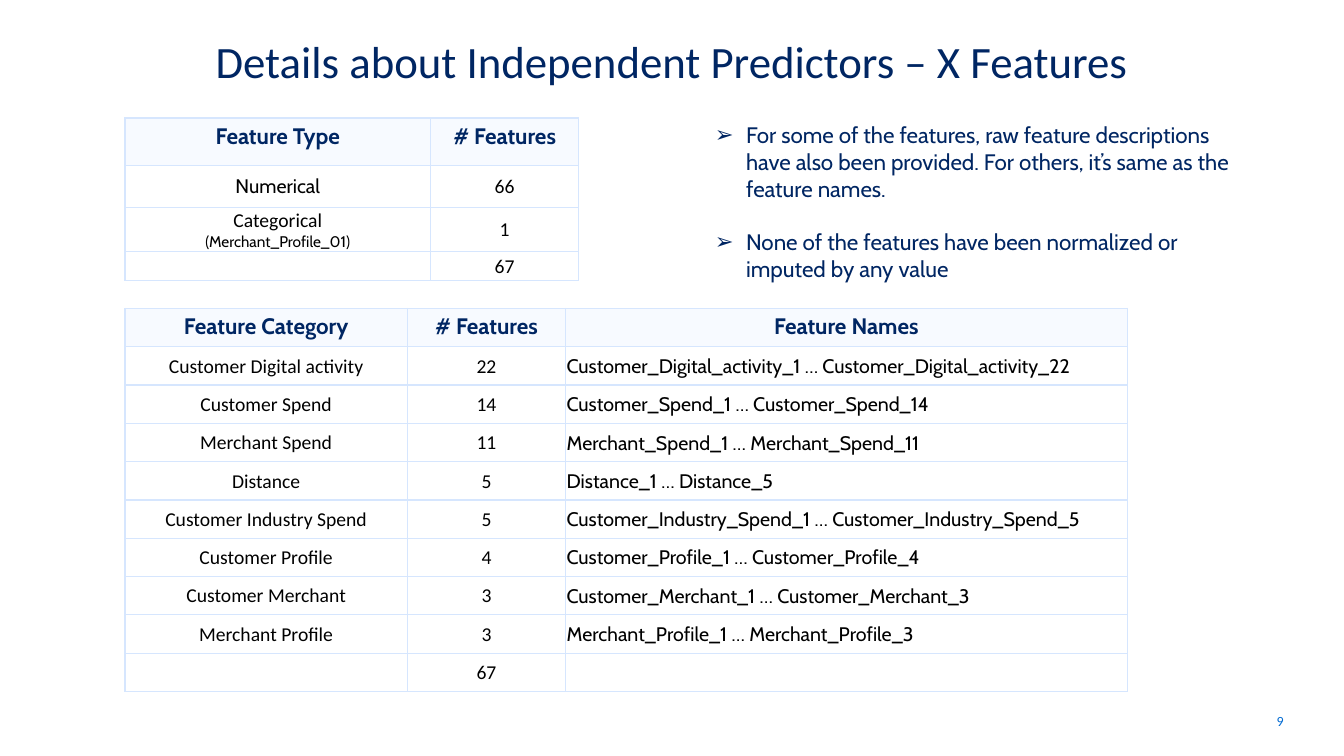
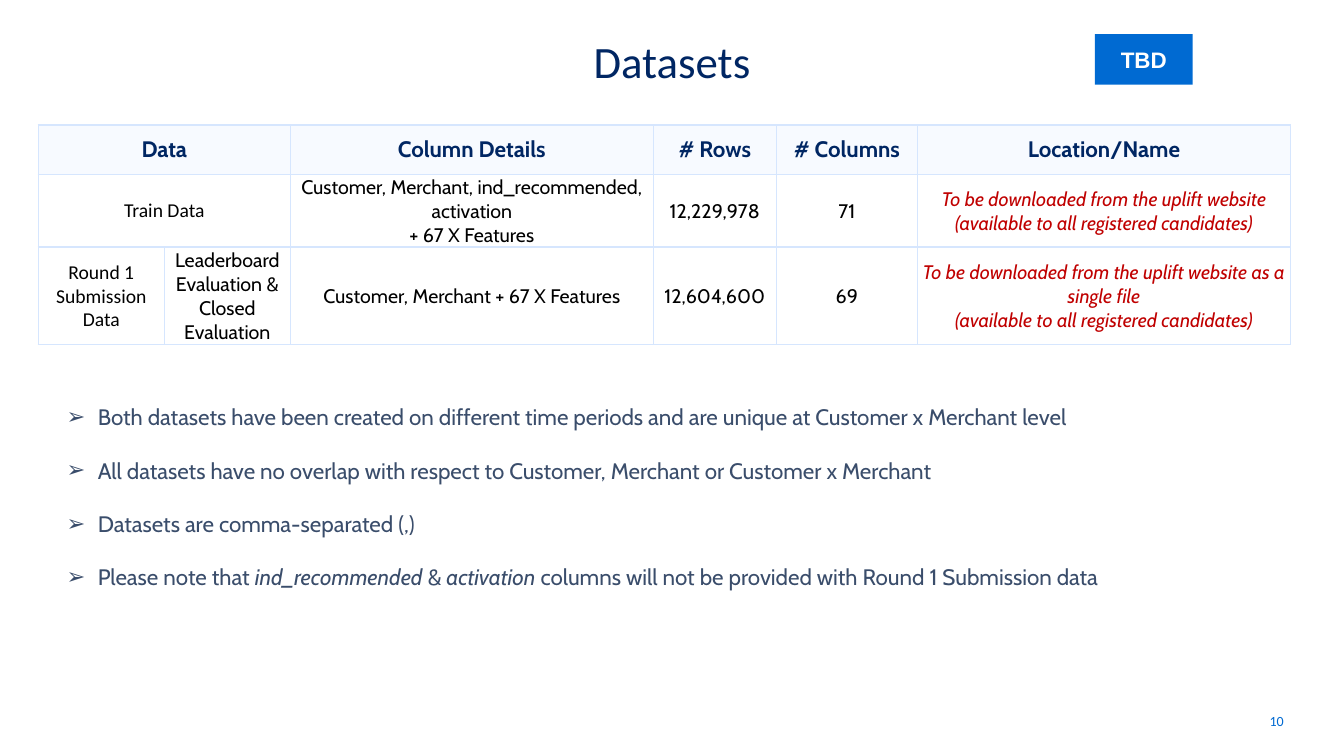
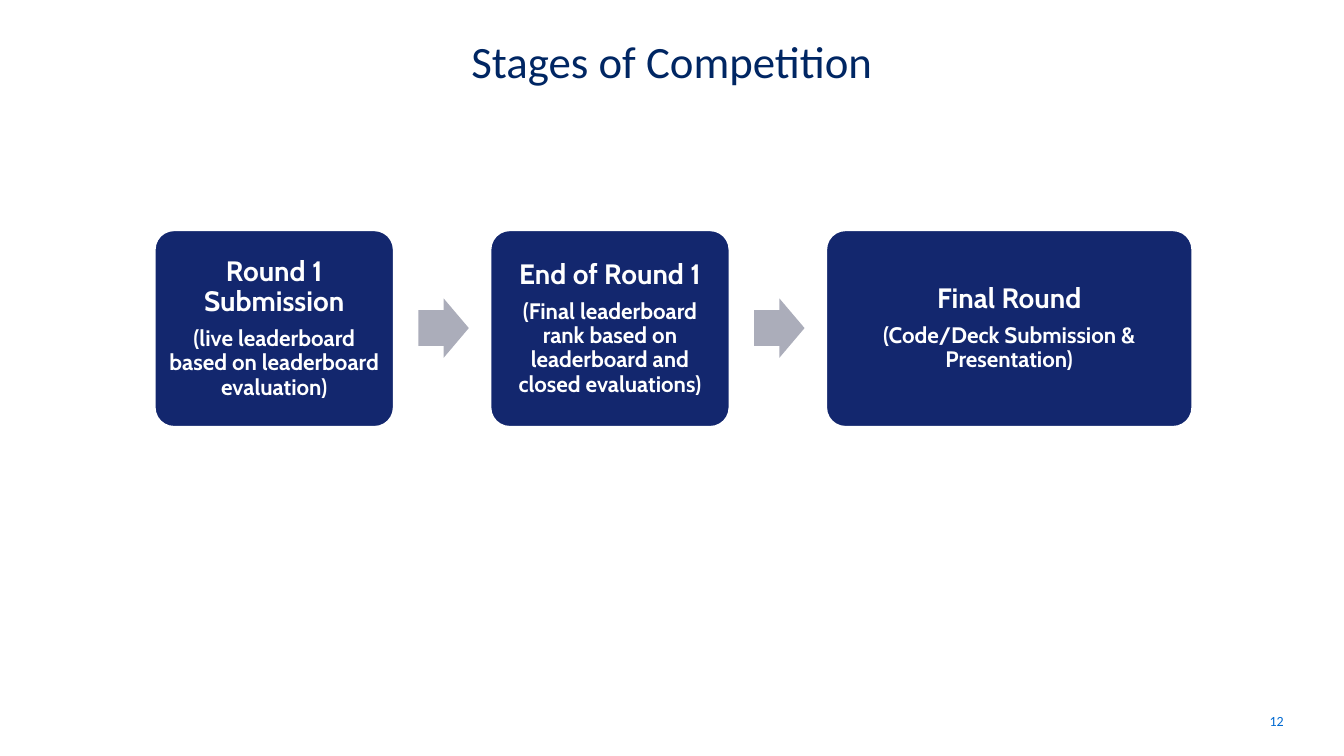
import dataclasses
import lxml.etree
import pptx
import pptx.dml.color
import pptx.enum.shapes
import pptx.enum.text
import pptx.oxml.ns
import pptx.util

Inches = pptx.util.Inches
Pt = pptx.util.Pt
Align = pptx.enum.text.PP_ALIGN
Anchor = pptx.enum.text.MSO_ANCHOR
Shape = pptx.enum.shapes.MSO_SHAPE
qn = pptx.oxml.ns.qn


@dataclasses.dataclass(frozen=True)
class Style:
    font: str
    size: int
    color: str
    bold: bool = False
    slant: bool = False


# Colours and type sizes
class Theme:
    navy, blue, slate = "002663", "006AD2", "3A4D6B"
    box, arrow, white = "13276E", "ABADBA", "FFFFFF"
    pale, rule = "F7FAFF", "D6E6FE"
    title = Style("Calibri", 32, navy)
    page = Style("Calibri", 10, blue)
    head = Style("Cabin", 16, navy, bold=True)
    plain = Style("Calibri", 14, "000000")
    cabin = Style("Cabin", 14, "000000")
    small = Style("Cabin", 11, "000000")
    alert = Style("Cabin", 14, "C00000", slant=True)
    list = Style("Cabin", 16, navy)
    note = Style("Cabin", 16, slate)
    tag = Style("Arial", 16, white, bold=True)
    stage = Style("Cabin", 20, white, bold=True)
    detail = Style("Cabin", 16, white, bold=True)


def rgb(color):
    return pptx.dml.color.RGBColor.from_string(color)


# Text
def add_run(para, text, style):
    run = para.add_run()
    run.text = text
    font = run.font
    font.name, font.size = style.font, Pt(style.size)
    font.bold, font.italic = style.bold, style.slant
    font.color.rgb = rgb(style.color)


def add_lines(frame, lines, align=Align.CENTER):
    """Write one paragraph for each (text, style) pair."""
    for i, (text, style) in enumerate(lines):
        para = frame.add_paragraph() if i else frame.paragraphs[0]
        para.alignment = align
        add_run(para, text, style)
    return frame.paragraphs


def set_frame(frame, inset, anchor):
    frame.word_wrap = True
    frame.auto_size = pptx.enum.text.MSO_AUTO_SIZE.NONE
    frame.vertical_anchor = anchor
    frame.margin_left = frame.margin_right = Inches(inset)
    frame.margin_top = frame.margin_bottom = Inches(inset)


def place(shape, left, top, width, height):
    shape.left, shape.top = Inches(left), Inches(top)
    shape.width, shape.height = Inches(width), Inches(height)


# Title and page number on each slide
def add_slide(deck, layout, title, page):
    slide = deck.slides.add_slide(deck.slide_layouts[layout])
    place(slide.shapes.title, 0.38, 0.43, 12.57, 0.5)
    frame = slide.shapes.title.text_frame
    set_frame(frame, 0, Anchor.TOP)
    add_lines(frame, [(title, Theme.title)])[0].line_spacing = 0.82

    box = slide.shapes.add_textbox(
        Inches(11.68), Inches(6.99), Inches(1.15), Inches(0.33))
    set_frame(box.text_frame, 0.05, Anchor.MIDDLE)
    box.text_frame.margin_right = Inches(0.1)
    add_lines(box.text_frame, [(page, Theme.page)], Align.RIGHT)
    return slide


# Bulleted list in the body placeholder; each item is a list of (text, slant)
def add_list(slide, area, items, style):
    body = slide.placeholders[1]
    place(body, *area)
    frame = body.text_frame
    set_frame(frame, 0, Anchor.TOP)
    for i, item in enumerate(items):
        para = frame.add_paragraph() if i else frame.paragraphs[0]
        para.space_before, para.space_after = Pt(0), Pt(19)
        props = para._p.get_or_add_pPr()
        props.set("marL", str(Inches(0.31)))
        props.set("indent", str(-Inches(0.31)))
        lxml.etree.SubElement(props, qn("a:buChar")).set("char", "➢")
        for text, slant in item:
            add_run(para, text, dataclasses.replace(style, slant=slant))


# Tables
def add_rules(cell):
    props = cell._tc.get_or_add_tcPr()
    for side in ("lnL", "lnR", "lnT", "lnB"):
        line = lxml.etree.SubElement(props, qn("a:" + side), w=str(Pt(1)))
        fill = lxml.etree.SubElement(line, qn("a:solidFill"))
        lxml.etree.SubElement(fill, qn("a:srgbClr"), val=Theme.rule)


def fill_cell(cell, lines, is_head, anchor, align):
    add_rules(cell)
    if is_head:
        cell.fill.solid()
        cell.fill.fore_color.rgb = rgb(Theme.pale)
    else:
        cell.fill.background()
        cell.margin_left = cell.margin_right = Inches(0.01)
        cell.margin_top, cell.margin_bottom = Inches(0.01), 0
    cell.vertical_anchor = anchor
    if lines:
        add_lines(cell.text_frame, lines, align)
    else:
        para = cell.text_frame.paragraphs[0]._p
        lxml.etree.SubElement(para, qn("a:endParaRPr"), sz="1400")


def add_table(slide, left, top, widths, heights, rows, styles,
              aligns=None, anchor=Anchor.MIDDLE):
    """A cell is text, a list of (text, style), or None to join its left."""
    table = slide.shapes.add_table(
        len(rows), len(widths), Inches(left), Inches(top),
        Inches(sum(widths)), Inches(sum(heights))).table
    table.first_row = table.horz_banding = False
    for column, width in zip(table.columns, widths):
        column.width = Inches(width)
    for row, height in zip(table.rows, heights):
        row.height = Inches(height)
    for r, row in enumerate(rows):
        for c, value in enumerate(row):
            cell, is_head = table.cell(r, c), r == 0
            if isinstance(value, str):
                style = Theme.head if is_head else styles[c]
                value = [(value, style)] if value else []
            align = aligns[c] if aligns and not is_head else Align.CENTER
            fill_cell(cell, value, is_head,
                      anchor if is_head else Anchor.MIDDLE, align)
            if value is None:
                table.cell(r, c - 1).merge(cell)


# Filled shapes
def add_block(slide, kind, area, color):
    block = slide.shapes.add_shape(kind, *map(Inches, area))
    block.shadow.inherit = False
    block.fill.solid()
    block.fill.fore_color.rgb = rgb(color)
    block.line.fill.background()
    return block


def add_stage(slide, left, width, name, detail):
    box = add_block(slide, Shape.ROUNDED_RECTANGLE,
                    (left, 2.28, width, 1.96), Theme.box)
    box.adjustments[0] = 0.1
    box.line.color.rgb = rgb(Theme.white)
    box.line.width = Pt(2)
    set_frame(box.text_frame, 0.08, Anchor.MIDDLE)
    paras = add_lines(box.text_frame,
                      [(name, Theme.stage), (detail, Theme.detail)])
    for para in paras:
        para.line_spacing = 0.9
    paras[0].space_after = Pt(7)


# Slides
def build_features(deck):
    slide = add_slide(
        deck, 1, "Details about Independent Predictors – X Features", "9")
    add_list(slide, (7.09, 1.2, 5.25, 1.61), [
        [("For some of the features, raw feature descriptions have also been "
          "provided. For others, it’s same as the feature names.", False)],
        [("None of the features have been normalized or imputed by any value",
          False)],
    ], Theme.list)

    groups = [
        ("Customer Digital activity", 22), ("Customer Spend", 14),
        ("Merchant Spend", 11), ("Distance", 5),
        ("Customer Industry Spend", 5), ("Customer Profile", 4),
        ("Customer Merchant", 3), ("Merchant Profile", 3),
    ]
    rows = [("Feature Category", "# Features", "Feature Names")]
    for name, count in groups:
        stem = name.replace(" ", "_")
        rows.append((name, str(count), f"{stem}_1 … {stem}_{count}"))
    total = str(sum(count for _, count in groups))
    rows.append(("", total, ""))
    add_table(slide, 1.24, 3.06, (2.8, 1.57, 5.57), [0.38] * len(rows), rows,
              (Theme.plain, Theme.plain, Theme.cabin),
              (Align.CENTER, Align.CENTER, Align.LEFT), Anchor.TOP)

    add_table(slide, 1.24, 1.17, (3.03, 1.47), (0.47, 0.42, 0.4, 0.29), [
        ("Feature Type", "# Features"),
        ([("Numerical", Theme.cabin)], "66"),
        ([("Categorical", Theme.plain),
          ("(Merchant_Profile_01)", Theme.small)], "1"),
        ("", total),
    ], (Theme.plain, Theme.plain), anchor=Anchor.TOP)


def build_data(deck):
    slide = add_slide(deck, 1, "Datasets", "10")
    source = "To be downloaded from the uplift website"
    access = ("(available to all registered candidates)", Theme.alert)
    add_table(
        slide, 0.38, 1.24, (1.25, 1.25, 3.6, 1.22, 1.4, 3.7),
        (0.49, 0.61, 0.97), [
            ("Data", None, "Column Details", "# Rows", "# Columns",
             "Location/Name"),
            ("Train Data", None,
             [("Customer, Merchant, ind_recommended, activation",
               Theme.cabin), ("+ 67 X Features", Theme.cabin)],
             "12,229,978", "71", [(source, Theme.alert), access]),
            ("Round 1 Submission Data",
             "Leaderboard Evaluation & Closed Evaluation",
             "Customer, Merchant + 67 X Features", "12,604,600", "69",
             [(source + " as a single file", Theme.alert), access]),
        ], (Theme.plain,) + (Theme.cabin,) * 5)

    tag = add_block(slide, Shape.RECTANGLE, (10.86, 0.34, 0.97, 0.5),
                    Theme.blue)
    set_frame(tag.text_frame, 0.05, Anchor.MIDDLE)
    add_lines(tag.text_frame, [("TBD", Theme.tag)])

    add_list(slide, (0.66, 4, 12.67, 1.88), [
        [("Both datasets have been created on different time periods and are "
          "unique at Customer x Merchant level", False)],
        [("All datasets have no overlap with respect to Customer, Merchant "
          "or Customer x Merchant", False)],
        [("Datasets are comma-separated (,)", False)],
        [("Please note that ", False), ("ind_recommended ", True),
         ("& ", False), ("activation", True),
         (" columns will not be provided with Round 1 Submission data",
          False)],
    ], Theme.note)


def build_stages(deck):
    slide = add_slide(deck, 5, "Stages of Competition", "12")
    stages = [
        (2.38, "Round 1 Submission",
         "(live leaderboard based on leaderboard evaluation)"),
        (2.38, "End of Round 1",
         "(Final leaderboard rank based on leaderboard and closed "
         "evaluations)"),
        (3.64, "Final Round", "(Code/Deck Submission & Presentation)"),
    ]
    start, step = 1.53, 3.33
    for i, (width, name, detail) in enumerate(stages):
        left = start + i * step
        add_stage(slide, left, width, name, detail)
        if i < len(stages) - 1:
            arrow = add_block(slide, Shape.RIGHT_ARROW,
                              (left + 2.62, 2.96, 0.5, 0.59), Theme.arrow)
            arrow.adjustments[0] = 0.6


def main():
    deck = pptx.Presentation()
    deck.slide_width, deck.slide_height = Inches(13.33), Inches(7.5)
    build_features(deck)
    build_data(deck)
    build_stages(deck)
    deck.save("out.pptx")


if __name__ == "__main__":
    main()
